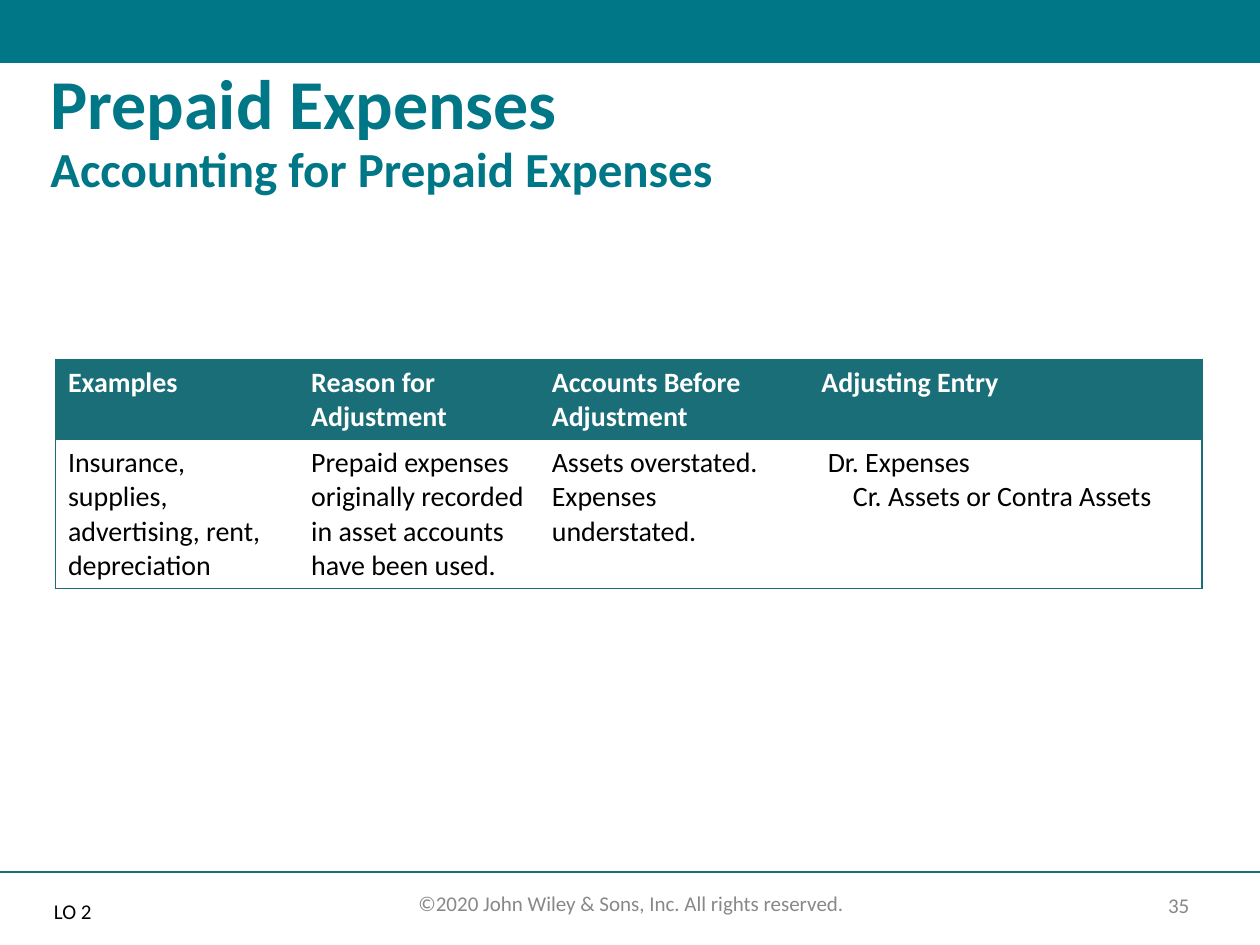
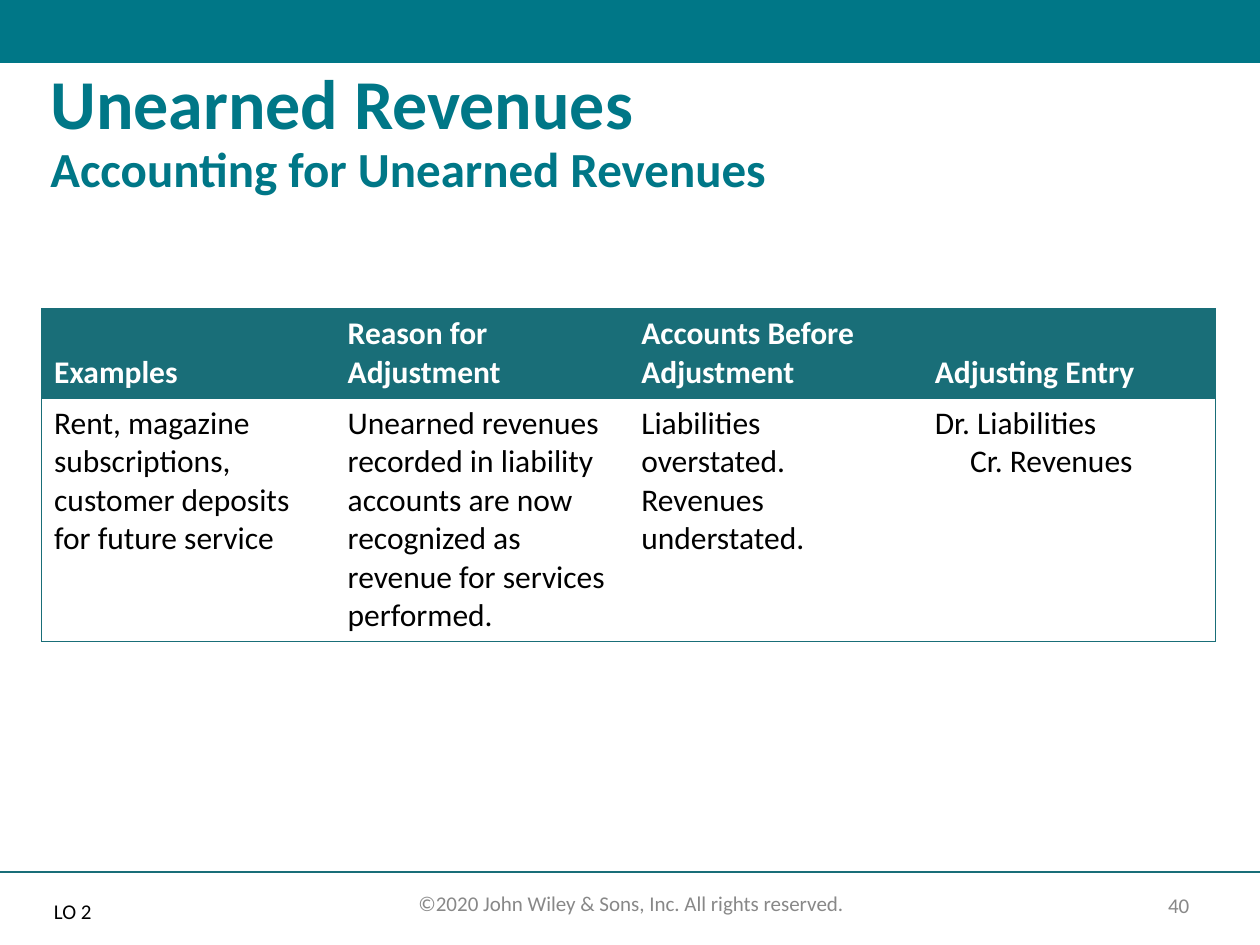
from lxml import etree
from pptx import Presentation
from pptx.dml.color import RGBColor
from pptx.enum import shapes, text
from pptx.oxml import ns
from pptx.util import Inches, Pt

COLORS = {"band": "007787", "head": "196E78", "gray": "888888",
          "black": "000000", "white": "FFFFFF"}
FONT = "Calibri"
HEADS = ["Examples", "Reason for Adjustment",
         "Accounts Before Adjustment", "Adjusting Entry"]
NOTICE = "©2020 John Wiley & Sons, Inc. All rights reserved."


def rgb(name):
    return RGBColor.from_string(COLORS[name])


def style(run, size, color, bold=False):
    font = run.font
    font.name, font.size, font.bold = FONT, Pt(size), bold
    font.color.rgb = rgb(color)


def add_band(slide):
    band = slide.shapes.add_shape(shapes.MSO_SHAPE.RECTANGLE, 0, 0,
                                  Inches(10), Inches(0.5))
    band.shadow.inherit = False
    band.fill.solid()
    band.fill.fore_color.rgb = rgb("band")
    band.line.fill.background()


def add_rule(slide, top):
    rule = slide.shapes.add_connector(shapes.MSO_CONNECTOR.STRAIGHT, 0,
                                      Inches(top), Inches(10), Inches(top))
    rule.line.color.rgb = rgb("head")
    rule.line.width = Pt(1)
    etree.SubElement(rule.element.spPr, ns.qn("a:effectLst"))


def add_label(slide, words, box, color, align=text.PP_ALIGN.CENTER,
              anchor=text.MSO_ANCHOR.TOP):
    label = slide.shapes.add_textbox(*map(Inches, box))
    frame = label.text_frame
    frame.word_wrap = True
    frame.vertical_anchor = anchor
    frame.text = words
    para = frame.paragraphs[0]
    para.alignment = align
    style(para.runs[0], 12, color)


def set_title(slide, topic, height):
    title = slide.shapes.title
    title.left, title.top = Inches(0.3), Inches(0.5)
    title.width, title.height = Inches(9.34), Inches(height)
    frame = title.text_frame
    frame.auto_size = text.MSO_AUTO_SIZE.NONE
    frame.vertical_anchor = text.MSO_ANCHOR.TOP
    frame.text = f"{topic}\vAccounting for {topic}"
    para = frame.paragraphs[0]
    para.alignment = text.PP_ALIGN.LEFT
    para.line_spacing = 0.9
    for run, size in zip(para.runs, (40, 28)):
        style(run, size, "band", True)


def set_edges(cell, shown):
    """Draw the sides named in shown and hide the others."""
    props = cell._tc.get_or_add_tcPr()
    for place, side in enumerate("LRTB"):
        edge = etree.Element(ns.qn(f"a:ln{side}"), w=str(Pt(0.75)))
        props.insert(place, edge)
        if side in shown:
            fill = etree.SubElement(edge, ns.qn("a:solidFill"))
            etree.SubElement(fill, ns.qn("a:srgbClr"), val=COLORS["head"])
        else:
            etree.SubElement(edge, ns.qn("a:noFill"))


def fill_cell(cell, words, size, head, anchor, indents):
    cell.text = words
    cell.vertical_anchor = anchor
    if head:
        cell.fill.solid()
        cell.fill.fore_color.rgb = rgb("head")
    else:
        cell.fill.background()
    for para, indent in zip(cell.text_frame.paragraphs, indents):
        if indent:
            para._p.get_or_add_pPr().set("marL", str(Inches(indent)))
        style(para.runs[0], size, "white" if head else "black", head)


def add_grid(slide, left, top, cols, rows, body, size, anchor, entry):
    frame = slide.shapes.add_table(2, len(cols), Inches(left), Inches(top),
                                   Inches(sum(cols)), Inches(sum(rows)))
    table = frame.table
    table.first_row = table.horz_banding = False
    for row, height in zip(table.rows, rows):
        row.height = Inches(height)
    last = len(cols) - 1
    for c, width in enumerate(cols):
        table.columns[c].width = Inches(width)
        sides = {0: "L", last: "R"}.get(c, "")
        indents = entry if c == last else (0, 0)
        top_cell, low_cell = table.cell(0, c), table.cell(1, c)
        fill_cell(top_cell, HEADS[c], size, True, anchor, (0,))
        fill_cell(low_cell, body[c], size, False, text.MSO_ANCHOR.TOP, indents)
        set_edges(top_cell, sides + "TB")
        set_edges(low_cell, sides + "TB")


def add_page(deck, topic, number, height):
    slide = deck.slides.add_slide(deck.slide_layouts[5])
    add_band(slide)
    add_rule(slide, 6.92)
    add_label(slide, NOTICE, (2.84, 7.02, 4.34, 0.3), "gray")
    add_label(slide, number, (9.05, 7.04, 0.61, 0.28), "gray",
              anchor=text.MSO_ANCHOR.MIDDLE)
    add_label(slide, "LO 2", (0.33, 7.08, 0.67, 0.33), "black",
              align=text.PP_ALIGN.LEFT)
    set_title(slide, topic, height)
    return slide


def main():
    deck = Presentation()
    deck.slide_width, deck.slide_height = Inches(10), Inches(7.5)

    # Prepaid expenses
    slide = add_page(deck, "Prepaid Expenses", "35", 1.3)
    body = ["Insurance, supplies, advertising, rent, depreciation",
            "Prepaid expenses originally recorded in asset accounts "
            "have been used.",
            "Assets overstated. Expenses understated.",
            "Dr. Expenses\nCr. Assets or Contra Assets"]
    add_grid(slide, 0.44, 2.85, (1.93, 1.91, 2.14, 3.12), (0.64, 1.18),
             body, 16, text.MSO_ANCHOR.TOP, (0.05, 0.25))

    # Unearned revenues
    slide = add_page(deck, "Unearned Revenues", "40", 1.2)
    body = ["Rent, magazine subscriptions, customer deposits "
            "for future service",
            "Unearned revenues recorded in liability accounts are now "
            "recognized as revenue for services performed.",
            "Liabilities overstated.\nRevenues understated.",
            "Dr. Liabilities\nCr. Revenues"]
    add_grid(slide, 0.33, 2.45, [2.33] * 4, (0.71, 1.93),
             body, 18, text.MSO_ANCHOR.BOTTOM, (0, 0.28))

    deck.save("out.pptx")


if __name__ == "__main__":
    main()
